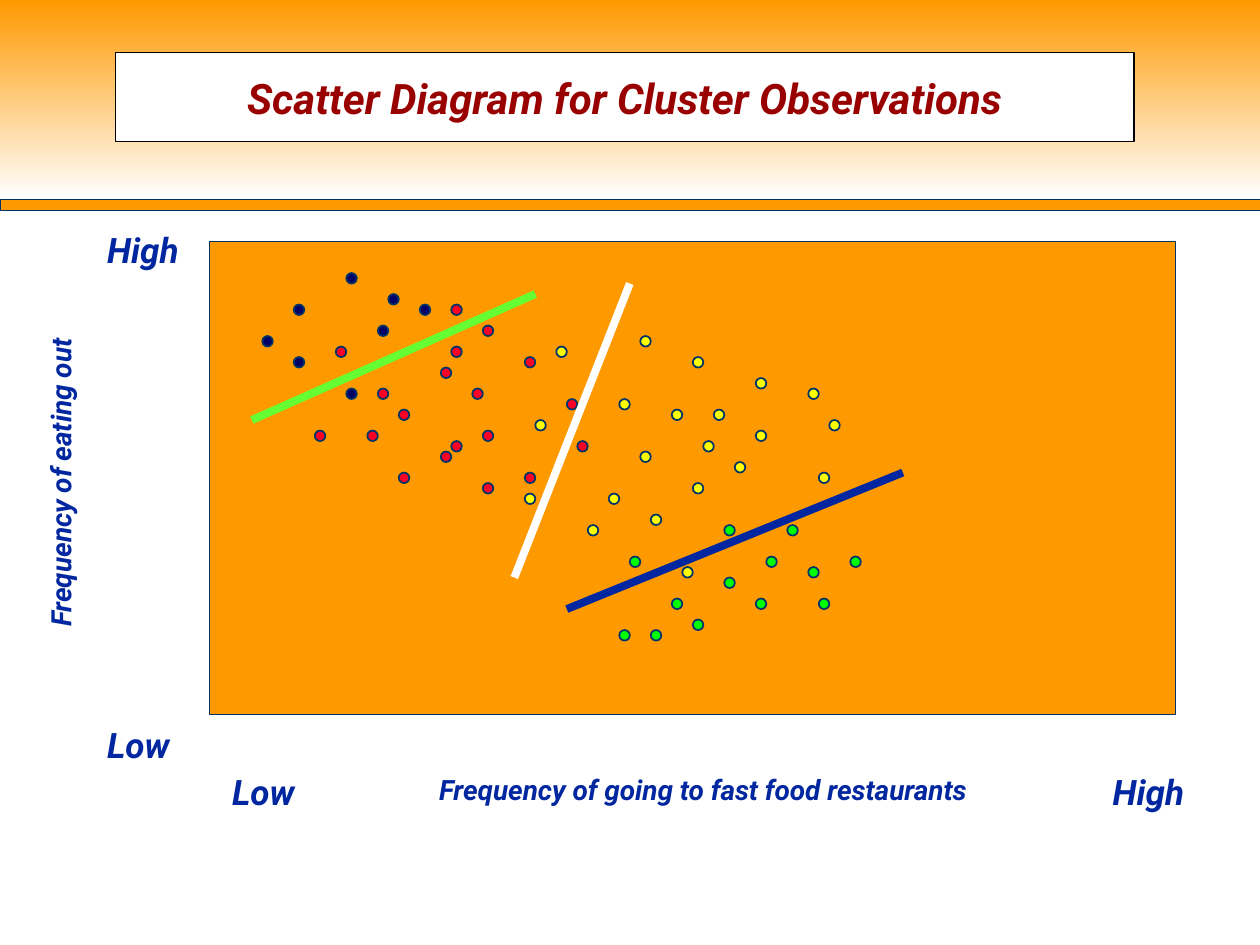
from dataclasses import dataclass

from lxml.etree import SubElement
from pptx import Presentation
from pptx.dml.color import RGBColor
from pptx.enum.shapes import MSO_CONNECTOR, MSO_SHAPE
from pptx.enum.text import MSO_ANCHOR, MSO_AUTO_SIZE, PP_ALIGN
from pptx.oxml.ns import qn
from pptx.util import Cm, Pt


@dataclass(frozen=True)
class Theme:
    """Colours, type sizes and line widths of the slide."""
    font: str = "Roboto"
    orange: str = "FF9900"
    white: str = "FFFFFF"
    black: str = "000000"
    outline: str = "003366"
    label: str = "00279F"
    title: str = "990000"
    navy: str = "000066"
    red: str = "FC0128"
    yellow: str = "FFFF00"
    green: str = "00FF00"
    lime: str = "66FF33"
    title_size: int = 24
    end_size: int = 20
    axis_size: int = 16
    thin: float = 0.75
    dot_line: float = 1
    divider: float = 4.5


@dataclass(frozen=True)
class Box:
    """A region of the slide, in centimetres."""
    left: float
    top: float
    width: float
    height: float

    def lengths(self):
        return [Cm(v) for v in (self.left, self.top, self.width, self.height)]


THEME = Theme()
GRID = 2.54 / 12  # one step of the scatter grid, also the dot diameter

CLUSTERS = {
    THEME.navy: [(13, 3), (8, 6), (8, 11), (17, 5), (20, 6), (5, 9), (16, 8), (13, 14)],
    THEME.red: [(10, 18), (23, 10), (15, 18), (35, 19), (18, 22), (12, 10), (22, 12),
                (23, 19), (26, 18), (30, 22), (25, 14), (30, 11), (23, 6), (16, 14),
                (18, 16), (26, 23), (22, 20), (34, 15), (26, 8)],
    THEME.yellow: [(41, 9), (30, 24), (39, 15), (38, 24), (48, 16), (57, 14), (58, 22),
                   (44, 16), (42, 26), (41, 20), (47, 19), (46, 23), (50, 21), (52, 18),
                   (59, 17), (45, 31), (52, 13), (31, 17), (46, 11), (36, 27), (33, 10)],
    THEME.green: [(40, 30), (44, 34), (42, 37), (46, 36), (52, 34), (53, 30), (55, 27),
                  (57, 31), (58, 34), (61, 30), (49, 32), (49, 27), (39, 37)],
}
DIVIDERS = [
    (THEME.white, (29, 32), (40, 4)),
    (THEME.label, (34, 35), (66, 22)),
    (THEME.lime, (4, 17), (31, 5)),
]


def rgb(colour):
    """Turn a hex string into a colour."""
    return RGBColor.from_string(colour)


def paint(shape, fill, line, width):
    """Give a shape a solid fill and an outline."""
    shape.fill.solid()
    shape.fill.fore_color.rgb = rgb(fill)
    shape.line.color.rgb = rgb(line)
    shape.line.width = Pt(width)


def add_solid(slide, kind, box, fill, line=THEME.outline, width=THEME.thin):
    """Add a filled, outlined preset shape without shadow."""
    shape = slide.shapes.add_shape(kind, *box.lengths())
    shape.shadow.inherit = False
    paint(shape, fill, line, width)
    return shape


def write(frame, text, size, colour, align):
    """Put one line of bold italic text in the middle of a frame."""
    frame.text = text
    frame.word_wrap = True
    frame.auto_size = MSO_AUTO_SIZE.NONE
    frame.vertical_anchor = MSO_ANCHOR.MIDDLE
    frame.margin_left = frame.margin_right = frame.margin_top = frame.margin_bottom = 0
    paragraph = frame.paragraphs[0]
    paragraph.alignment = align
    font = paragraph.runs[0].font
    font.name, font.size, font.bold, font.italic = THEME.font, Pt(size), True, True
    font.color.rgb = rgb(colour)


def add_label(slide, box, text, size, align=PP_ALIGN.LEFT):
    """Add an axis label and return its text frame."""
    frame = slide.shapes.add_textbox(*box.lengths()).text_frame
    write(frame, text, size, THEME.label, align)
    return frame


def build_header(slide, box):
    """Fade band, bar below it and the framed title."""
    bar = Box(box.left, box.top + box.height, box.width, 0.22)
    add_solid(slide, MSO_SHAPE.RECTANGLE, bar, THEME.orange, width=0.25)
    band = slide.shapes.add_shape(MSO_SHAPE.RECTANGLE, *box.lengths())
    band.shadow.inherit = False
    band.line.fill.background()
    band.fill.gradient()
    band.fill.gradient_angle = 270
    for stop, colour in zip(band.fill.gradient_stops, (THEME.orange, THEME.white)):
        stop.color.rgb = rgb(colour)

    title = slide.shapes.title
    frame = Box(box.left + 2.33, box.top + 1.06, 20.53, 1.8)
    title.left, title.top, title.width, title.height = frame.lengths()
    paint(title, THEME.white, THEME.black, THEME.thin)
    write(title.text_frame, "Scatter Diagram for Cluster Observations",
          THEME.title_size, THEME.title, PP_ALIGN.CENTER)
    band.element.addnext(title.element)


def build_scatter(slide, box):
    """Plot area with the clusters and the lines dividing them."""
    def place(point):
        return box.left + point[0] * GRID, box.top + point[1] * GRID

    add_solid(slide, MSO_SHAPE.RECTANGLE, box, THEME.orange)
    for colour, points in CLUSTERS.items():
        for point in points:
            add_solid(slide, MSO_SHAPE.FLOWCHART_CONNECTOR, Box(*place(point), GRID, GRID),
                      colour, width=THEME.dot_line)
    for colour, start, end in DIVIDERS:
        divider = slide.shapes.add_connector(
            MSO_CONNECTOR.STRAIGHT, *[Cm(v) for v in place(start) + place(end)])
        divider.line.color.rgb = rgb(colour)
        divider.line.width = Pt(THEME.divider)
        SubElement(divider.element.spPr, qn("a:effectLst"))


def build_axes(slide, box):
    """Axis names and their low and high ends, set around the plot box."""
    bottom = box.top + box.height
    ends = [
        ("High", box.left - 2.07, box.top - 0.35),
        ("Low", box.left - 2.07, bottom + 0.1),
        ("Low", box.left + 0.45, bottom + 1.05),
        ("High", box.left + 18.2, bottom + 1.05),
    ]
    for text, left, top in ends:
        add_label(slide, Box(left, top, 2, 1), text, THEME.end_size)

    add_label(slide, Box(box.left + 2.96, bottom + 1.04, 13.97, 0.94),
              "Frequency of going to fast food restaurants", THEME.axis_size, PP_ALIGN.CENTER)
    vertical = add_label(slide, Box(box.left - 3.6, box.top + 0.2, 1.17, 9.32),
                         "Frequency of eating out", THEME.axis_size, PP_ALIGN.CENTER)
    vertical._txBody.bodyPr.set("vert", "vert270")


def main():
    """Build the slide and save it."""
    deck = Presentation()
    deck.slide_width, deck.slide_height = Cm(25.4), Cm(19.05)
    slide = deck.slides.add_slide(deck.slide_layouts[5])
    plot = Box(4.23, 4.87, 19.47, 9.53)
    build_header(slide, Box(0, 0, 25.4, 4.02))
    build_scatter(slide, plot)
    build_axes(slide, plot)
    deck.save("out.pptx")


main()
